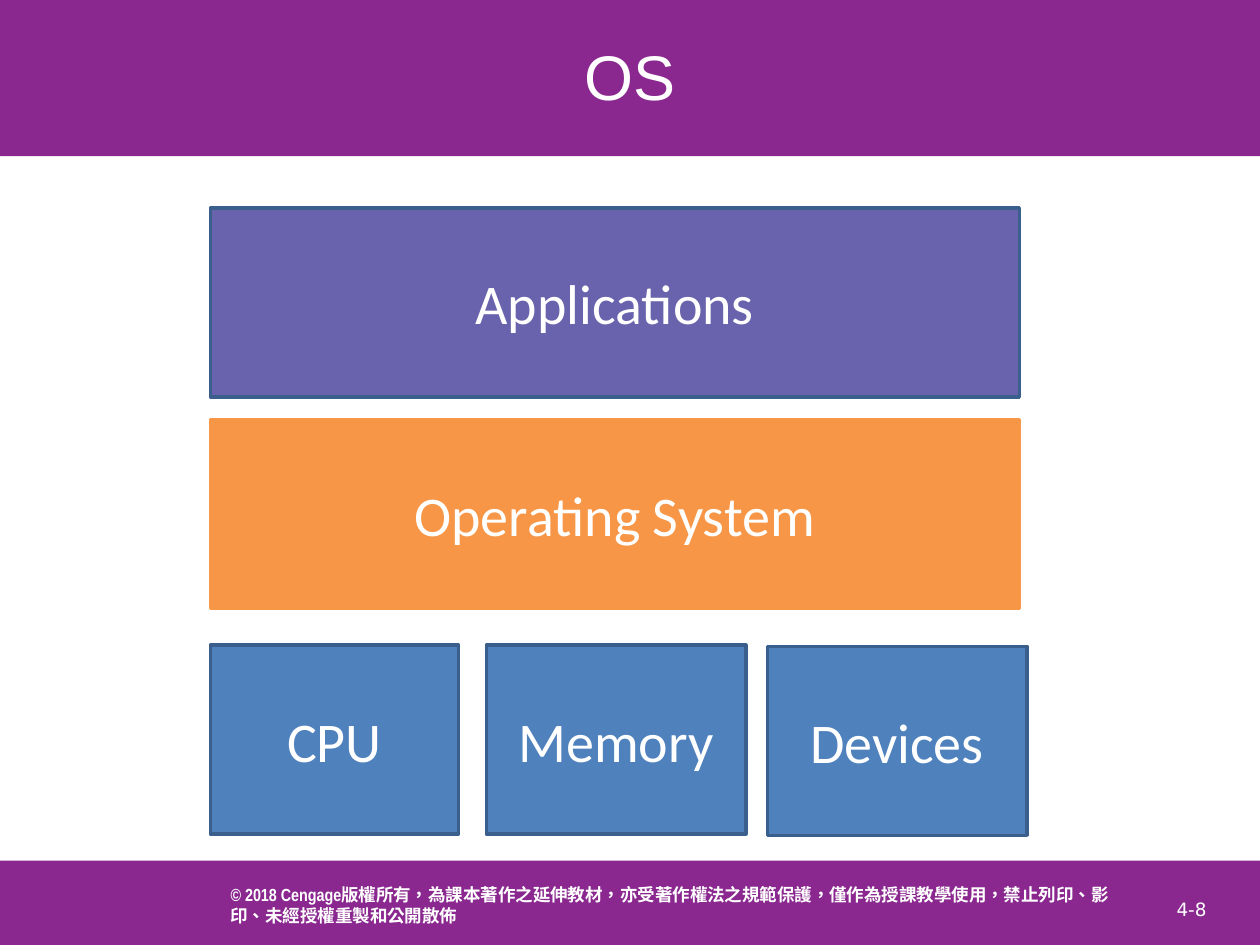
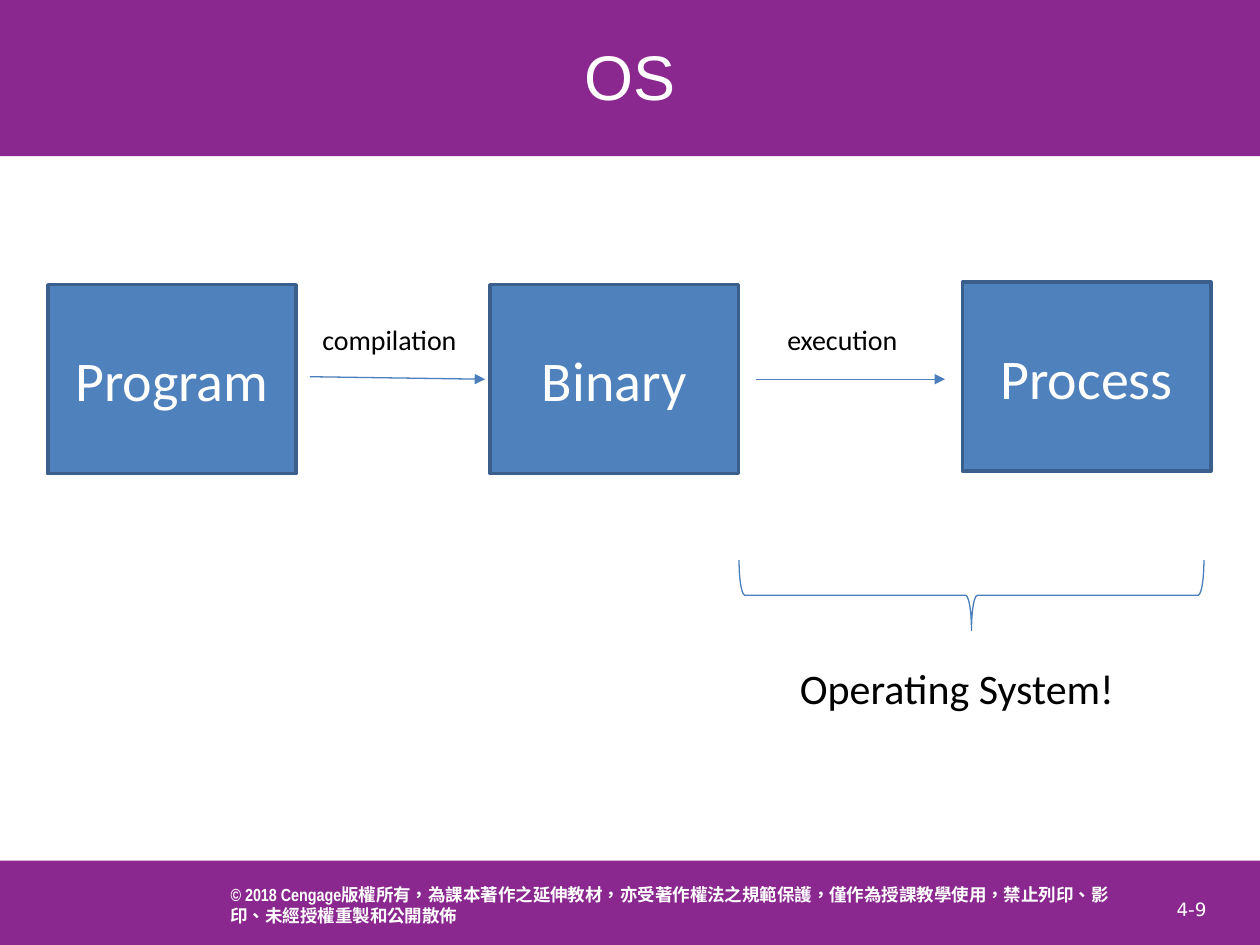
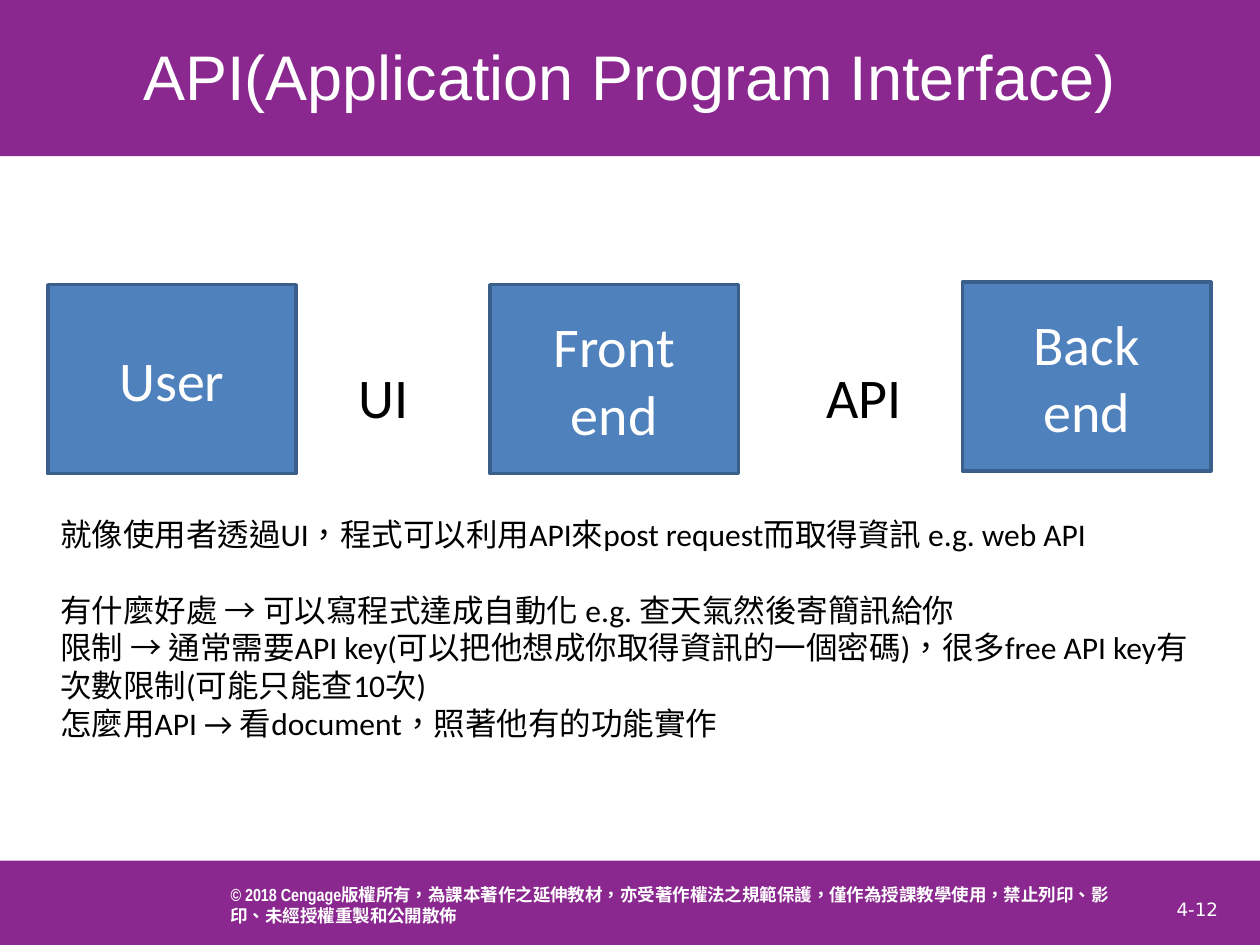
"""Build three lecture slides on operating systems and APIs."""
import dataclasses

import lxml.etree
import pptx
import pptx.dml.color
import pptx.enum.lang
import pptx.enum.shapes
import pptx.enum.text
import pptx.oxml.ns
import pptx.shapes.shapetree
import pptx.util

SHAPE = pptx.enum.shapes.MSO_SHAPE
ALIGN = pptx.enum.text.PP_ALIGN
ANCHOR = pptx.enum.text.MSO_ANCHOR


@dataclasses.dataclass(frozen=True)
class Theme:
    band: str = "8A288F"
    box: str = "4F81BD"
    box_edge: str = "3A5F8C"
    applications: str = "6863AC"
    system: str = "F79646"
    stroke: str = "4B7EBC"
    light: str = "FFFFFF"
    dark: str = "000000"
    title_font: str = "Arial"
    body_font: str = "Calibri"
    footer_font: str = "Arial Narrow"
    number_font: str = "DejaVu Sans"
    asian_font: str = "Noto Sans CJK JP"
    title_size: float = 36
    box_size: float = 32
    callout_size: float = 24
    note_size: float = 18
    label_size: float = 16
    number_size: float = 10.5
    footer_size: float = 10
    edge_width: float = 2
    stroke_width: float = 0.75


class Deck:
    COLUMNS, ROWS = 100, 75

    def __init__(self, theme):
        self.theme = theme
        self.presentation = pptx.Presentation()
        self.presentation.slide_width = pptx.util.Inches(10)
        self.presentation.slide_height = pptx.util.Inches(7.5)
        self.layout = self.presentation.slide_layouts.get_by_name("Title Only")
        self.shapes = pptx.shapes.shapetree.SlideShapes(
            self.layout.shapes._spTree, self.layout)
        self.draw_bands()

    def place(self, column, row, columns, rows):
        across = self.presentation.slide_width / self.COLUMNS
        down = self.presentation.slide_height / self.ROWS
        return [round(length) for length in
                (column * across, row * down, columns * across, rows * down)]

    def color(self, code):
        return pptx.dml.color.RGBColor.from_string(code)

    def set_text(self, frame, paragraphs, size, color, font=None, align=ALIGN.LEFT,
                 anchor=ANCHOR.TOP, bold=False):
        frame.word_wrap = True
        frame.vertical_anchor = anchor
        for index, runs in enumerate(paragraphs):
            paragraph = frame.add_paragraph() if index else frame.paragraphs[0]
            paragraph.alignment = align
            for text in runs if isinstance(runs, tuple) else (runs,):
                run = paragraph.add_run()
                run.text = text
                run.font.size = pptx.util.Pt(size)
                run.font.bold = bold
                run.font.color.rgb = self.color(color)
                run.font.name = font or self.theme.body_font
                run.font.language_id = pptx.enum.lang.MSO_LANGUAGE_ID.TRADITIONAL_CHINESE
                lxml.etree.SubElement(run.font._element, pptx.oxml.ns.qn("a:ea"),
                                      typeface=self.theme.asian_font)

    def shape(self, kind, area, fill=None, edge=None, width=None):
        shape = self.shapes.add_shape(kind, *self.place(*area))
        shape.shadow.inherit = False
        if fill:
            shape.fill.solid()
            shape.fill.fore_color.rgb = self.color(fill)
        else:
            shape.fill.background()
        if edge:
            shape.line.color.rgb = self.color(edge)
            shape.line.width = pptx.util.Pt(width)
        else:
            shape.line.fill.background()
        return shape

    def draw_bands(self):
        theme = self.theme
        for area in ((0, 0, 100, 12.4), (-0.1, 68.3, 100.2, 6.9)):
            self.shape(SHAPE.RECTANGLE, area, theme.band)
        footer = self.shape(SHAPE.RECTANGLE, (18.3, 68.9, 70.5, 5.8), theme.band).text_frame
        footer.margin_left = footer.margin_right = 0
        footer.margin_top = footer.margin_bottom = 0
        notice = ("© 2018 Cengage",
                  "版權所有，為課本著作之延伸教材，亦受著作權法之規範保護，"
                  "僅作為授課教學使用，禁止列印、影印、未經授權重製和公開散佈")
        self.set_text(footer, [notice], theme.footer_size, theme.light, theme.footer_font,
                      anchor=ANCHOR.MIDDLE, bold=True)

    def slide(self, heading, number):
        theme = self.theme
        self.shapes = self.presentation.slides.add_slide(self.layout).shapes
        title = self.shapes.title
        title.left, title.top, title.width, title.height = self.place(0.5, 0.3, 99, 11.4)
        title.fill.solid()
        title.fill.fore_color.rgb = self.color(theme.band)
        self.set_text(title.text_frame, [heading], theme.title_size, theme.light,
                      theme.title_font, ALIGN.CENTER, ANCHOR.MIDDLE)
        self.text((92.4, 70.8, 7.3, 2.8), [number], theme.number_size, theme.light,
                  theme.number_font)

    def text(self, area, paragraphs, size, color=None, font=None):
        frame = self.shapes.add_textbox(*self.place(*area)).text_frame
        self.set_text(frame, paragraphs, size, color or self.theme.dark, font)
        return frame

    def box(self, area, *lines, fill=None, edge=None):
        theme = self.theme
        box = self.shape(SHAPE.RECTANGLE, area, fill or theme.box,
                         edge or theme.box_edge, theme.edge_width)
        self.set_text(box.text_frame, lines, theme.box_size, theme.light,
                      align=ALIGN.CENTER, anchor=ANCHOR.MIDDLE)

    def stages(self, *stages):
        for (column, row), lines in zip(((3.8, 22.6), (38.9, 22.6), (76.4, 22.4)), stages):
            self.box((column, row, 19.7, 15), *lines)

    def arrow(self, start, end):
        arrow = self.shapes.add_connector(pptx.enum.shapes.MSO_CONNECTOR.STRAIGHT,
                                          *self.place(*start, *end))
        arrow.line.color.rgb = self.color(self.theme.stroke)
        arrow.line.width = pptx.util.Pt(self.theme.stroke_width)
        lxml.etree.SubElement(arrow.line._get_or_add_ln(), pptx.oxml.ns.qn("a:tailEnd"),
                              type="triangle")
        lxml.etree.SubElement(arrow._element.spPr, pptx.oxml.ns.qn("a:effectLst"))

    def brace(self, area):
        brace = self.shape(SHAPE.RIGHT_BRACE, area, edge=self.theme.stroke,
                           width=self.theme.stroke_width)
        brace.rotation = 90


def add_layers(deck):
    theme = deck.theme
    deck.slide("OS", "4-8")
    deck.box((16.7, 16.5, 64.2, 15), "Applications", fill=theme.applications)
    deck.box((16.7, 33.3, 64.2, 15), "Operating System", fill=theme.system, edge=theme.system)
    for column, row, width, hardware in ((16.7, 51.2, 19.7, "CPU"),
                                         (38.6, 51.2, 20.6, "Memory"),
                                         (60.9, 51.3, 20.6, "Devices")):
        deck.box((column, row, width, 15), hardware)


def add_program_flow(deck):
    deck.slide("OS", "4-9")
    deck.stages(["Program"], ["Binary"], ["Process"])
    for start, end, column, step in (((24.6, 29.9), (38.5, 30.1), 24.6, "compilation"),
                                     ((60, 30.1), (75, 30.1), 61.5, "execution")):
        deck.arrow(start, end)
        deck.text((column, 25.1, 13.9, 3.7), [step], deck.theme.label_size)
    deck.brace((74.3, 28.8, 5.6, 36.9))
    deck.text((62.5, 52.1, 32.5, 5), ["Operating System!"], deck.theme.callout_size)


def add_api(deck):
    deck.slide("API(Application Program Interface)", "4-12")
    deck.stages(["User"], ["Front", "end"], ["Back", "end"])
    for column, interface in ((27.5, "UI"), (64.6, "API")):
        deck.text((column, 28.3, 10, 6.4), [interface], deck.theme.box_size)
    notes = deck.text((3.8, 40.4, 92.3, 19.2), [
        "就像使用者透過UI，程式可以利用API來post request而取得資訊 e.g. web API",
        "有什麼好處 → 可以寫程式達成自動化 e.g. 查天氣然後寄簡訊給你",
        "限制 → 通常需要API key(可以把他想成你取得資訊的一個密碼)，"
        "很多free API key有次數限制(可能只能查10次)",
        "怎麼用API → 看document，照著他有的功能實作",
    ], deck.theme.note_size)
    notes.paragraphs[1].space_before = pptx.util.Pt(21.5)


def main():
    deck = Deck(Theme())
    add_layers(deck)
    add_program_flow(deck)
    add_api(deck)
    deck.presentation.save("out.pptx")


if __name__ == "__main__":
    main()
